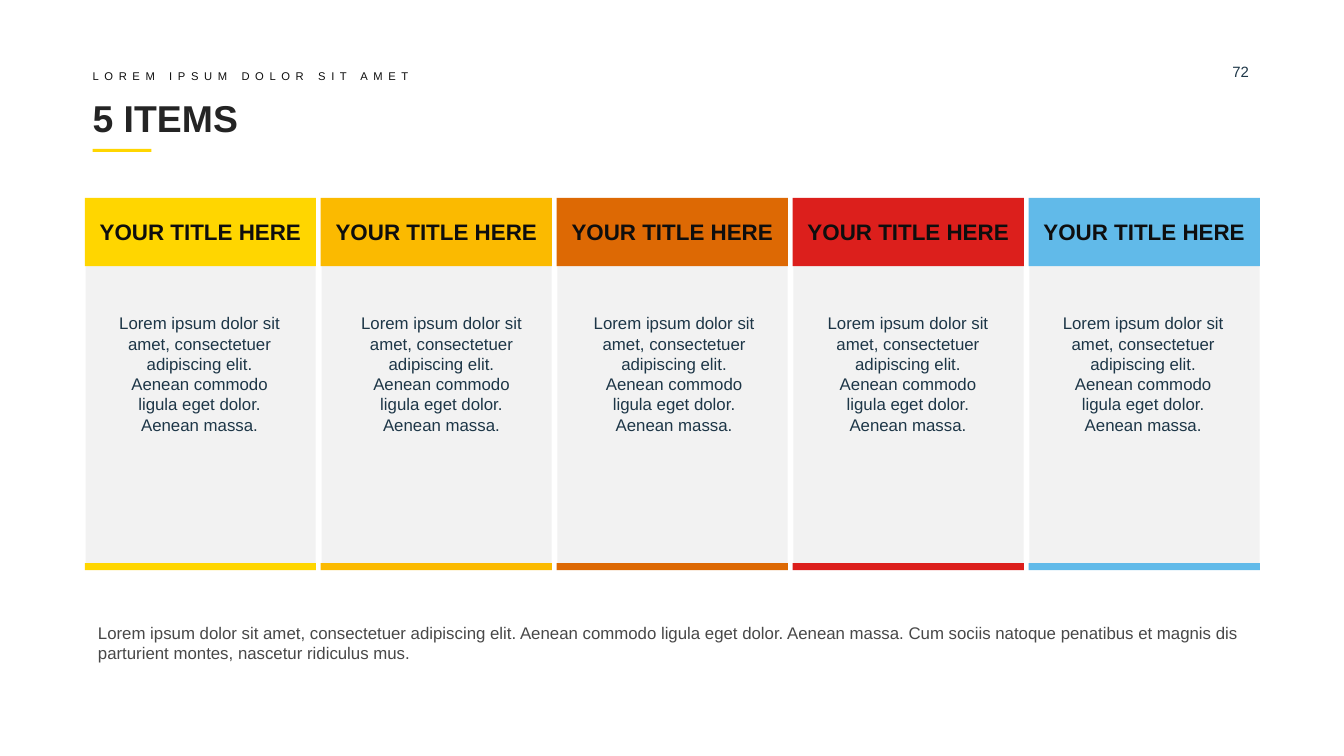
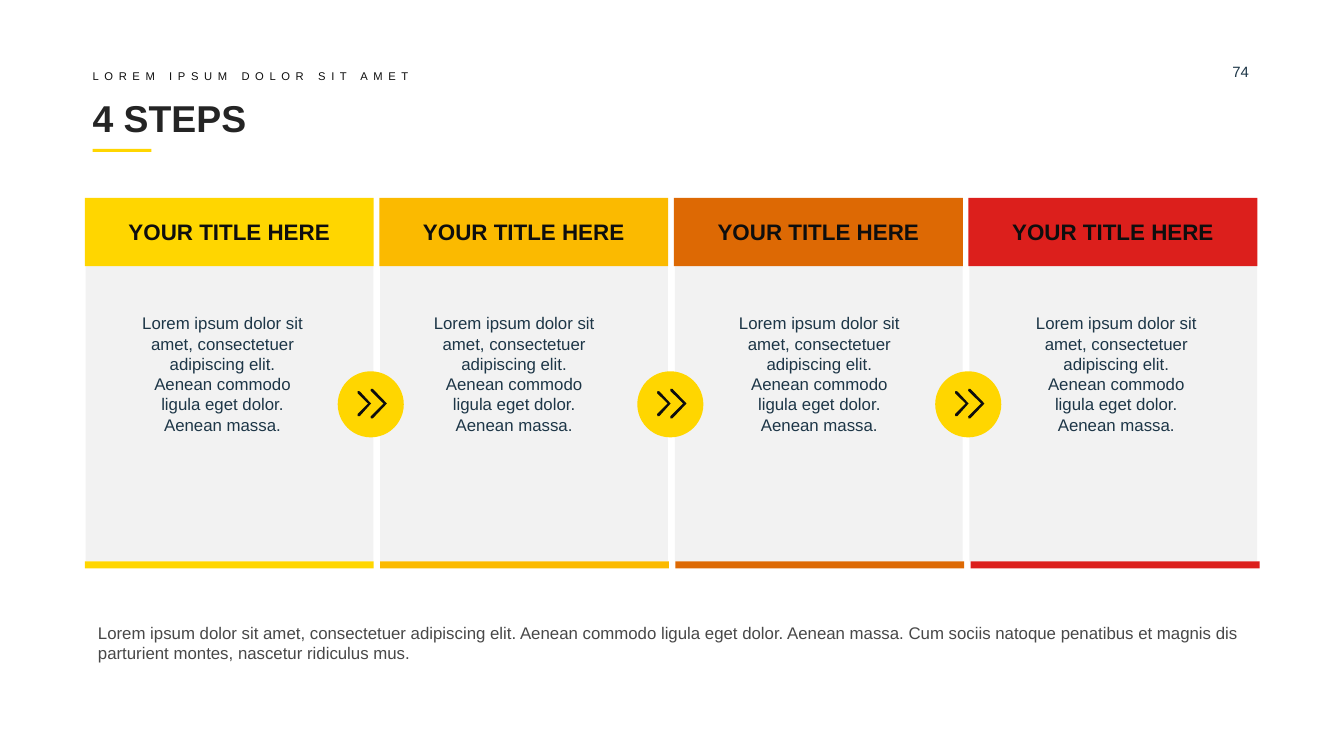
"""Build two slides of coloured columns: five items and four steps."""
import pptx
import pptx.util
import pptx.dml.color
import pptx.enum.shapes
import pptx.enum.text

Pt = pptx.util.Pt
RGB = pptx.dml.color.RGBColor.from_string
KIND = pptx.enum.shapes.MSO_SHAPE
ALIGN = pptx.enum.text.PP_ALIGN
MID = pptx.enum.text.MSO_ANCHOR.MIDDLE
TOP = pptx.enum.text.MSO_ANCHOR.TOP
GROW = pptx.enum.text.MSO_AUTO_SIZE.SHAPE_TO_FIT_TEXT
FIXED = pptx.enum.text.MSO_AUTO_SIZE.NONE


class Theme:
    font = "Arial"
    hues = ["FFD600", "FBBA00", "DD6904", "DC1F1C", "61BAE9"]
    card = "F2F2F2"
    ink = "0E0E0E"
    styles = {
        "title": dict(size=20, bold=True, color="242424", align=ALIGN.LEFT,
                      anchor=MID, inset=0, fit=FIXED),
        "kicker": dict(size=6, bold=False, color=ink, align=ALIGN.LEFT,
                       anchor=MID, inset=0, fit=GROW),
        "page": dict(size=8, bold=False, color="1D3647", align=ALIGN.LEFT,
                     anchor=TOP, inset=0, fit=FIXED),
        "head": dict(size=12, bold=True, color=ink, align=ALIGN.CENTER,
                     anchor=MID, inset=None, fit=FIXED),
        "body": dict(size=9, bold=False, color="1D3647", align=ALIGN.CENTER,
                     anchor=TOP, inset=None, fit=GROW),
        "note": dict(size=9, bold=False, color="484848", align=ALIGN.LEFT,
                     anchor=TOP, inset=None, fit=GROW),
    }


def paint(shape, hue):
    shape.shadow.inherit = False
    shape.fill.solid()
    shape.fill.fore_color.rgb = RGB(hue)
    shape.line.fill.background()
    return shape


def write(shape, text, name):
    style = Theme.styles[name]
    frame = shape.text_frame
    frame.text = text
    look = dict(word_wrap=True, auto_size=style["fit"],
                vertical_anchor=style["anchor"])
    if style["inset"] is not None:
        for side in ("left", "top", "right", "bottom"):
            look["margin_" + side] = Pt(style["inset"])
    for key, value in look.items():
        setattr(frame, key, value)
    line = frame.paragraphs[0]
    line.alignment = style["align"]
    font = line.runs[0].font
    for key, value in dict(name=Theme.font, size=Pt(style["size"]),
                           bold=style["bold"]).items():
        setattr(font, key, value)
    font.color.rgb = RGB(style["color"])
    return line.runs[0]


BODY = ("Lorem ipsum dolor sit amet, consectetuer adipiscing elit. "
        "Aenean commodo ligula eget dolor. Aenean massa.")
NOTE = (BODY + " Cum sociis natoque penatibus et magnis dis parturient "
        "montes, nascetur ridiculus mus.")
LEFT = 45.4
CHEVRONS = [
    [(15.9, 8.2), (8.4, 0.4), (7.3, 0.3), (7.2, 1.4), (14.1, 8.2),
     (7.2, 15.1), (7.3, 16.2), (8.4, 16.1)],
    [(7.4, 8.2), (1.4, 1.7), (0.3, 1.5), (0.2, 2.7), (5.8, 8.2),
     (0.2, 13.8), (0.3, 15), (1.4, 14.9)],
]
PAGES = [
    dict(title="5 ITEMS", page="72", wide=123.9, step=126.4, pace=126.4,
         top=142.5, foot=301.7, texts=[55.4, 185, 309.6, 434.9, 560.9],
         dots=[]),
    dict(title="4 STEPS", page="74", wide=154.8, step=157.8, pace=158.2,
         top=141.2, foot=300.8, texts=[67.7, 223.9, 387.4, 546.5],
         dots=[180.9, 341.4, 501]),
]

deck = pptx.Presentation()
deck.slide_width, deck.slide_height = Pt(720), Pt(405)
layout = deck.slide_layouts[5]

for page in PAGES:
    slide = deck.slides.add_slide(layout)
    shapes = slide.shapes

    title = shapes.title
    for key, value in dict(left=49.6, top=49.8, width=620.6,
                           height=26.6).items():
        setattr(title, key, Pt(value))
    write(title, page["title"], "title")

    box = shapes.add_textbox(Pt(49.6), Pt(37), Pt(516), Pt(7.2))
    run = write(box, "LOREM IPSUM DOLOR SIT AMET", "kicker")
    run.font._element.set("spc", "300")
    box = shapes.add_textbox(Pt(660.2), Pt(33.6), Pt(31), Pt(11.5))
    write(box, page["page"], "page")

    for i, (hue, spot) in enumerate(zip(Theme.hues, page["texts"])):
        left = LEFT + i * page["step"]
        base = LEFT + i * page["pace"]
        wide, top, foot = page["wide"], page["top"], page["foot"]
        bands = [(left + 0.5, top, wide - 0.6, foot - top, Theme.card),
                 (left, 106, wide, 36.6, hue),
                 (base, foot, wide, 3.8, hue)]
        card, head, bar = [
            paint(shapes.add_shape(KIND.RECTANGLE, *map(Pt, at)), tone)
            for *at, tone in bands]
        write(head, "YOUR TITLE HERE", "head")
        box = shapes.add_textbox(Pt(spot), Pt(164.2), Pt(103), Pt(72.7))
        write(box, BODY, "body")

    for spot in page["dots"]:
        group = shapes.add_group_shape().shapes
        paint(group.add_shape(KIND.OVAL, Pt(spot), Pt(198.9), Pt(35.4),
                              Pt(35.4)), Theme.hues[0])
        marks = [[(Pt(spot + 10.5 + x), Pt(208 + y)) for x, y in mark]
                 for mark in CHEVRONS]
        pen = group.build_freeform(*marks[0][0])
        pen.add_line_segments(marks[0][1:])
        pen.move_to(*marks[1][0])
        pen.add_line_segments(marks[1][1:])
        paint(pen.convert_to_shape(), Theme.ink)

    box = shapes.add_textbox(Pt(LEFT), Pt(329.8), Pt(629.3), Pt(28.8))
    write(box, NOTE, "note")

rule = paint(shapes.add_shape(KIND.RECTANGLE, Pt(49.6), Pt(79.8), Pt(31.5),
                              Pt(1.6)), Theme.hues[0])
layout.shapes.element.append(rule.element)

deck.save("out.pptx")
